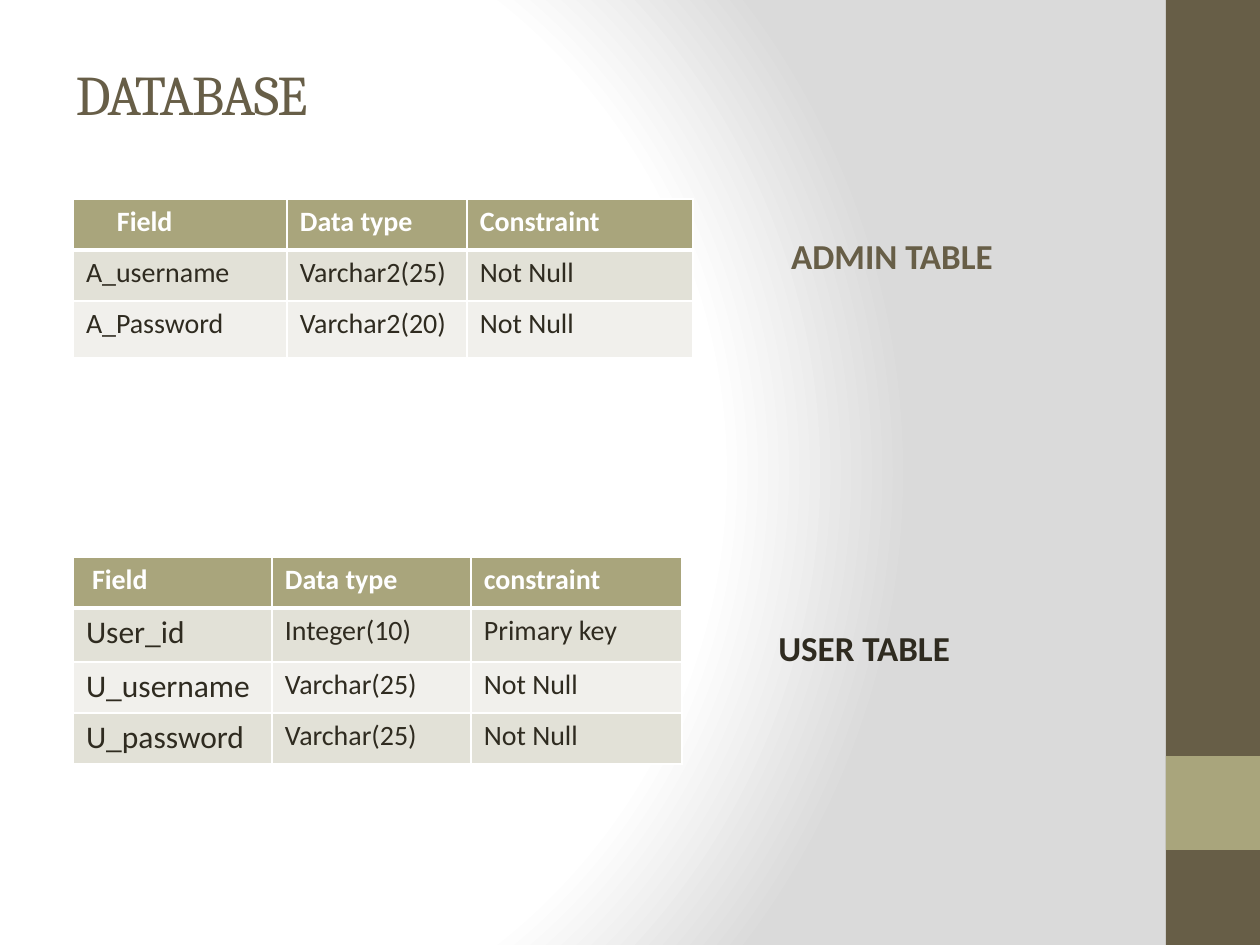
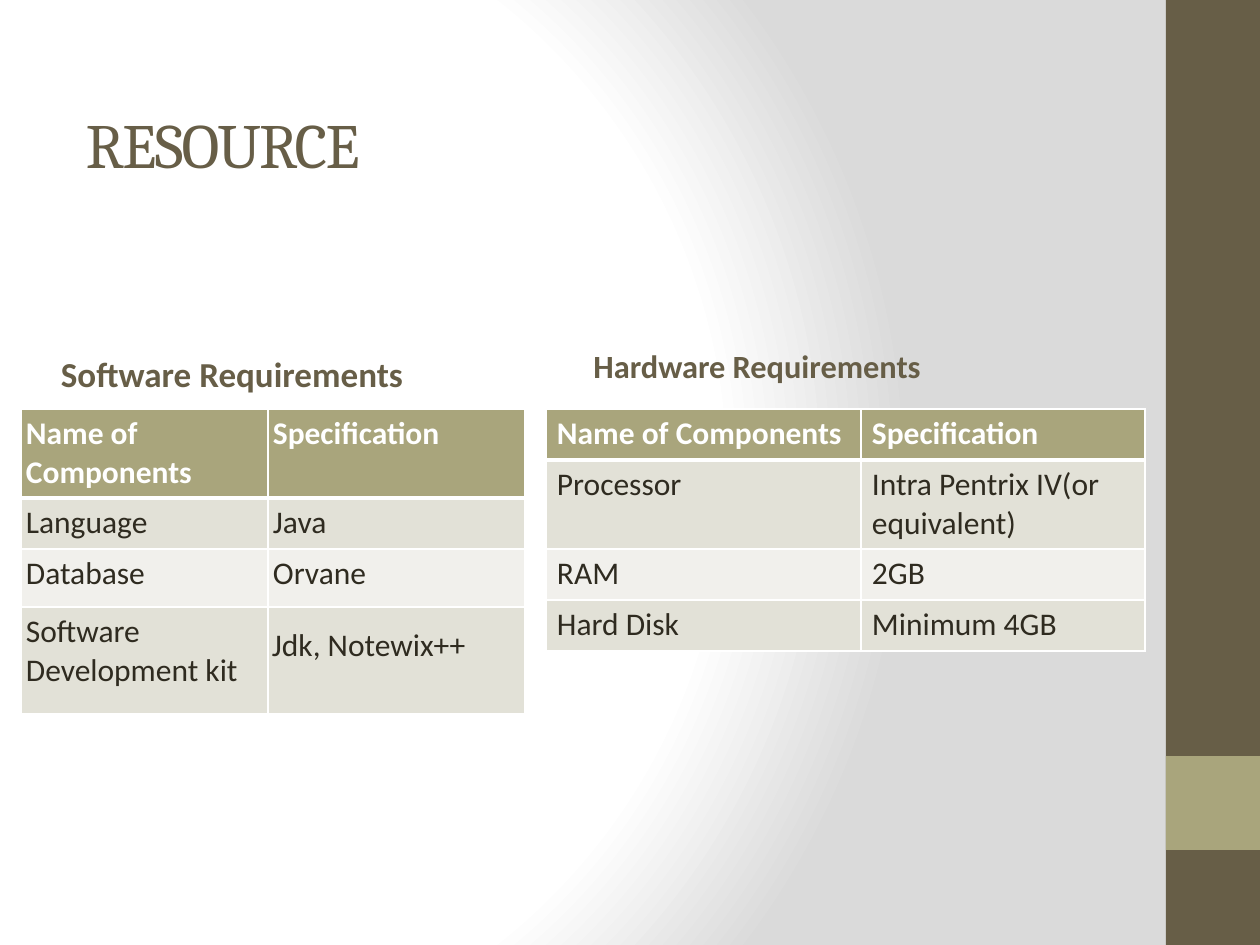
from pptx import Presentation
from pptx.dml.color import RGBColor
from pptx.enum.shapes import MSO_SHAPE
from pptx.enum.text import MSO_ANCHOR, PP_ALIGN
from pptx.oxml import parse_xml
from pptx.oxml.ns import nsdecls, qn
from pptx.util import Pt

EMU_PER_PX = 914400 / 126
SLIDE_WIDTH, SLIDE_HEIGHT = 1260, 945
COMPARISON_LAYOUT = 4

BROWN = RGBColor(0x67, 0x5E, 0x47)
OLIVE = RGBColor(0xA9, 0xA5, 0x7C)
INK = RGBColor(0x2F, 0x2B, 0x20)
WHITE = RGBColor(0xFF, 0xFF, 0xFF)
ROW_FILLS = (RGBColor(0xE2, 0xE1, 0xD7), RGBColor(0xF1, 0xF0, 0xEC))
BACKDROP_STOPS = ((0, "FFFFFF"), (75, "FFFFFF"), (100, "DADADA"))
TITLE_FONT, BODY_FONT = "Cambria", "Calibri"

BANDS = [((1166, 0, 94, 945), BROWN), ((1166, 756, 94, 94), OLIVE)]

SLIDES = [
    {
        "title": "DATABASE", "title_box": (63, 38, 1050, 110),
        "title_size": 32, "title_anchor": MSO_ANCHOR.MIDDLE,
        "headings": [("ADMIN TABLE", (640, 220, 504, 63), 20)],
        "tables": [
            {
                "at": (73, 199), "columns": (214, 180, 226), "rows": (51, 51, 57),
                "sizes": (16, 16, 16), "margin": 13, "first_header_indent": 31,
                "cells": [
                    ("Field", "Data type", "Constraint"),
                    ("A_username", "Varchar2(25)", "Not Null"),
                    ("A_Password", "Varchar2(20)", "Not Null"),
                ],
            },
            {
                "at": (73, 557), "columns": (199, 199, 211), "rows": (51, 54, 51, 51),
                "sizes": (18, 16, 16), "margin": 13, "first_header_indent": 6,
                "cells": [
                    ("Field", "Data type", "constraint"),
                    ("User_id", "Integer(10)", "Primary key"),
                    ("U_username", "Varchar(25)", "Not Null"),
                    ("U_password", "Varchar(25)", "Not Null"),
                ],
            },
        ],
        "labels": [("USER TABLE", (766, 620, 262, 55), 20)],
    },
    {
        "title": "RESOURCE", "title_box": (73, 105, 1008, 159),
        "title_size": 36, "title_anchor": MSO_ANCHOR.TOP,
        "headings": [
            ("Software Requirements", (0, 315, 464, 86), 20),
            ("Hardware Requirements", (525, 305, 464, 86), 18.5),
        ],
        "tables": [
            {
                "at": (21, 409), "columns": (247, 257), "rows": (88, 51, 58, 107),
                "sizes": (18, 18), "margin": 5, "loose_cell": (3, 1),
                "cells": [
                    ("Name of Components", "Specification"),
                    ("Language", "Java"),
                    ("Database", "Orvane"),
                    ("Software Development kit", "Jdk, Notewix++"),
                ],
            },
            {
                "at": (546, 409), "columns": (315, 284), "rows": (51, 88, 51, 51),
                "sizes": (18, 18), "margin": 11,
                "cells": [
                    ("Name of Components", "Specification"),
                    ("Processor", "Intra Pentrix IV(or equivalent)"),
                    ("RAM", "2GB"),
                    ("Hard Disk", "Minimum 4GB"),
                ],
            },
        ],
        "labels": [],
    },
]


def px(length):
    return round(length * EMU_PER_PX)


def place(shape, box):
    shape.left, shape.top, shape.width, shape.height = map(px, box)


def set_font(paragraph, size, color, bold, name=BODY_FONT):
    font = paragraph.font
    font.name, font.size, font.bold = name, Pt(size), bold
    font.color.rgb = color


def set_backdrop(master):
    """Give the master a circular gradient."""
    master.background.fill.solid()
    properties = master.element.find(".//" + qn("p:bgPr"))
    stops = "".join(
        f'<a:gs pos="{place_percent * 1000}"><a:srgbClr val="{color}"/></a:gs>'
        for place_percent, color in BACKDROP_STOPS
    )
    gradient = parse_xml(
        f'<a:gradFill {nsdecls("a")} rotWithShape="1"><a:gsLst>{stops}</a:gsLst>'
        '<a:path path="circle"><a:fillToRect l="20000" t="50000" r="100000" b="50000"/>'
        "</a:path></a:gradFill>"
    )
    properties.replace(properties[0], gradient)


def add_bands(master, slide):
    """Build the side bands on a slide, then move them behind everything in the master."""
    for order, (box, color) in enumerate(BANDS):
        band = slide.shapes.add_shape(MSO_SHAPE.RECTANGLE, *map(px, box))
        band.shadow.inherit = False
        band.fill.solid()
        band.fill.fore_color.rgb = color
        band.line.fill.background()
        band.element.find(".//" + qn("p:cNvPr")).set("id", str(100 + order))
        master.shapes.element.insert(2 + order, band.element)


def set_borders(cell, row):
    """White hairlines, with a thick rule under the header row."""
    widths = {"L": 1, "R": 1, "T": 3 if row == 1 else 1, "B": 3 if row == 0 else 1}
    properties = cell._tc.get_or_add_tcPr()
    for order, (side, width) in enumerate(widths.items()):
        properties.insert(order, parse_xml(
            f'<a:ln{side} {nsdecls("a")} w="{Pt(width)}"><a:solidFill>'
            f'<a:srgbClr val="{WHITE}"/></a:solidFill></a:ln{side}>'
        ))


def add_data_table(slide, data):
    columns, rows = data["columns"], data["rows"]
    box = (*data["at"], sum(columns), sum(rows))
    table = slide.shapes.add_table(len(rows), len(columns), *map(px, box)).table
    for column, width in zip(table.columns, columns):
        column.width = px(width)
    for row, height in zip(table.rows, rows):
        row.height = px(height)
    for row, texts in enumerate(data["cells"]):
        header = row == 0
        for column, text in enumerate(texts):
            cell = table.cell(row, column)
            cell.text = text
            cell.margin_left = cell.margin_right = px(data["margin"])
            cell.margin_top = cell.margin_bottom = px(6)
            paragraph = cell.text_frame.paragraphs[0]
            size = data["sizes"][-1 if header else column]
            set_font(paragraph, size, WHITE if header else INK, header)
            if header and column == 0:
                cell.margin_left = px(data["margin"] + data.get("first_header_indent", 0))
            if (row, column) == data.get("loose_cell"):
                cell.margin_left = cell.margin_right = px(4)
                cell.margin_top = cell.margin_bottom = 0
                paragraph.line_spacing = 1.5
            cell.fill.solid()
            cell.fill.fore_color.rgb = OLIVE if header else ROW_FILLS[(row - 1) % 2]
            set_borders(cell, row)


def fill_title(title, content):
    place(title, content["title_box"])
    frame = title.text_frame
    frame.text = content["title"]
    frame.vertical_anchor = content["title_anchor"]
    if content["title_anchor"] == MSO_ANCHOR.TOP:
        frame.margin_top = 0
    paragraph = frame.paragraphs[0]
    paragraph.alignment = PP_ALIGN.LEFT
    set_font(paragraph, content["title_size"], BROWN, False, TITLE_FONT)
    paragraph.runs[0].font._element.set("spc", "-100")


def fill_heading(placeholder, text, box, size):
    place(placeholder, box)
    frame = placeholder.text_frame
    frame.text = text
    frame.vertical_anchor = MSO_ANCHOR.BOTTOM
    paragraph = frame.paragraphs[0]
    paragraph.alignment = PP_ALIGN.CENTER
    set_font(paragraph, size, BROWN, True)


def add_label(slide, text, box, size):
    frame = slide.shapes.add_textbox(*map(px, box)).text_frame
    frame.word_wrap = True
    frame.text = text
    set_font(frame.paragraphs[0], size, INK, True)


def build_slide(deck, content):
    slide = deck.slides.add_slide(deck.slide_layouts[COMPARISON_LAYOUT])
    fill_title(slide.shapes.title, content)
    heading_places = [item for item in slide.placeholders
                      if item.placeholder_format.idx in (1, 3)]
    for placeholder, heading in zip(heading_places, content["headings"]):
        fill_heading(placeholder, *heading)
    for placeholder in list(slide.placeholders):
        if not placeholder.text_frame.text:
            placeholder.element.getparent().remove(placeholder.element)
    for data in content["tables"]:
        add_data_table(slide, data)
    for label in content["labels"]:
        add_label(slide, *label)


def main():
    deck = Presentation()
    deck.slide_width, deck.slide_height = px(SLIDE_WIDTH), px(SLIDE_HEIGHT)
    for content in SLIDES:
        build_slide(deck, content)
    set_backdrop(deck.slide_master)
    add_bands(deck.slide_master, deck.slides[0])
    deck.save("out.pptx")


if __name__ == "__main__":
    main()
